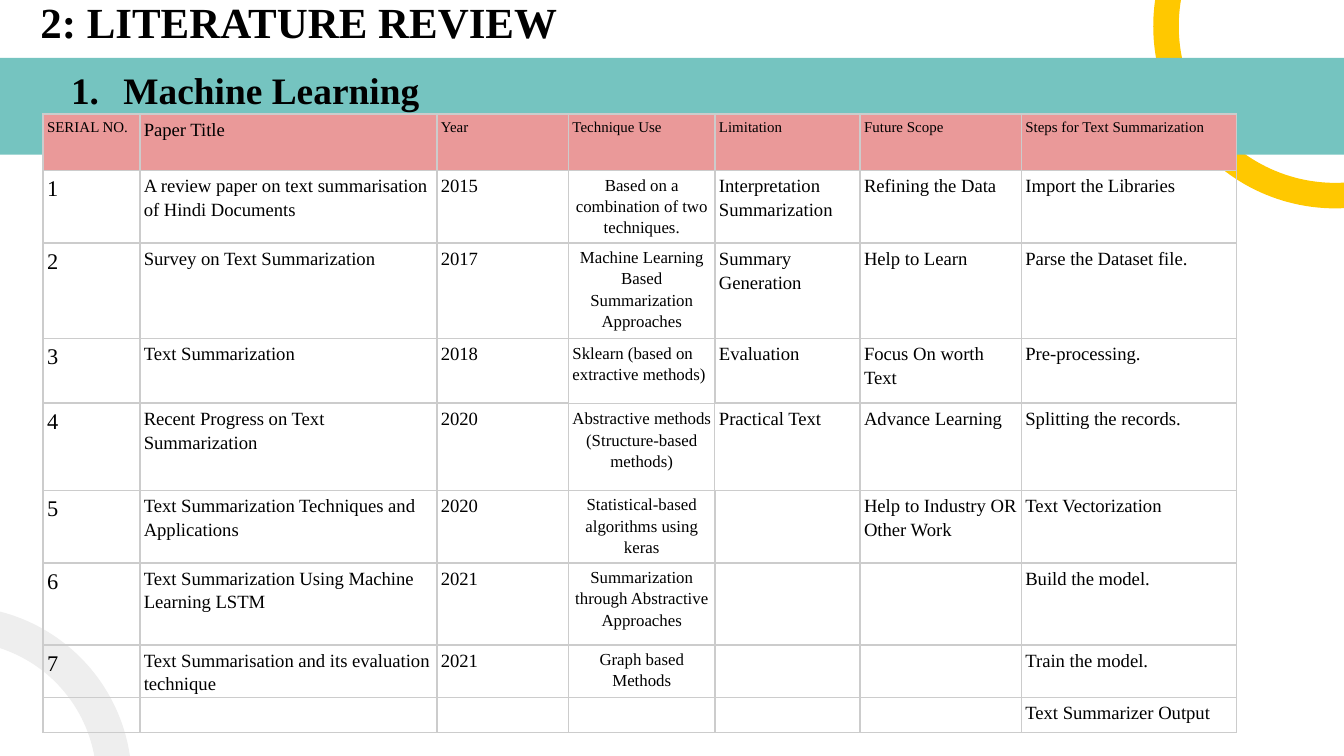
"""Build the literature review slide with its table of machine learning papers."""
import pptx
import pptx.dml.color
import pptx.enum.shapes
import pptx.enum.text
import pptx.oxml.ns
import pptx.util
from lxml import etree

Inches, Pt = pptx.util.Inches, pptx.util.Pt
RGBColor = pptx.dml.color.RGBColor
SHAPE = pptx.enum.shapes.MSO_SHAPE
ALIGN = pptx.enum.text.PP_ALIGN
qn = pptx.oxml.ns.qn

BLACK = RGBColor(0x00, 0x00, 0x00)
YELLOW = RGBColor(0xFF, 0xC8, 0x00)
TEAL = RGBColor(0x75, 0xC4, 0xC0)
GRAY = RGBColor(0xEE, 0xEE, 0xEE)
PINK = RGBColor(0xEA, 0x99, 0x99)
RULE = RGBColor(0xCC, 0xCC, 0xCC)
FONT = "Times New Roman"

TITLE = "2: LITERATURE REVIEW"
TOPIC = "Machine Learning"
DECOR = [
    (SHAPE.BLOCK_ARC, (8.58, -1.16, 2.71, 2.71), 180, (159.04, 7.23, 0.07), YELLOW),
    (SHAPE.RECTANGLE, (-0.17, 0.43, 10.34, 0.72), 0, (), TEAL),
    (SHAPE.BLOCK_ARC, (-1.63, 4.51, 2.61, 2.61), 74.3, (125.82, 166.85, 0.1), GRAY),
]
ROWS = [
    ("SERIAL NO.", "Paper Title", "Year", "Technique Use", "Limitation",
     "Future Scope", "Steps for Text Summarization"),
    ("1", "A review paper on text summarisation of Hindi Documents", "2015",
     "Based on a combination of two techniques.", "Interpretation\nSummarization",
     "Refining the Data", "Import the Libraries"),
    ("2", "Survey on Text Summarization", "2017",
     "Machine Learning Based Summarization Approaches", "Summary Generation",
     "Help to Learn", "Parse the Dataset file."),
    ("3", "Text Summarization", "2018", "Sklearn (based on extractive methods)",
     "Evaluation", "Focus On worth Text", "Pre-processing."),
    ("4", "Recent Progress on Text Summarization", "2020",
     "Abstractive methods (Structure-based methods)", "Practical Text",
     "Advance Learning", "Splitting the records."),
    ("5", "Text Summarization Techniques and Applications", "2020",
     "Statistical-based algorithms using keras", "",
     "Help to Industry OR Other Work", "Text Vectorization"),
    ("6", "Text Summarization Using Machine Learning LSTM", "2021",
     "Summarization through Abstractive Approaches", "", "", "Build the model."),
    ("7", "Text Summarisation and its evaluation technique", "2021",
     "Graph based Methods", "", "", "Train the model."),
    ("", "", "", "", "", "", "Text Summarizer Output"),
]
WIDTHS = [0.72, 2.21, 0.98, 1.09, 1.08, 1.2, 1.6]
HEIGHTS = [0.42, 0.54, 0.71, 0.48, 0.65, 0.54, 0.61, 0.39, 0.26]
HEAD_SIZES = [8, 10, 8, 8, 8, 8, 8]
BODY_SIZES = [12, 10, 10, 9, 10, 10, 10]
TECH = 3
LEFT_ROWS = (0, 3)
THIN = (4, TECH)
SIDES = {"a:lnL": (0, -1), "a:lnR": (0, 1), "a:lnT": (-1, 0), "a:lnB": (1, 0)}


def apply(item, style):
    for name, value in style.items():
        setattr(item, name, value)


def pad(item, across, down):
    apply(item, {"margin_left": Inches(across), "margin_right": Inches(across),
                 "margin_top": Inches(down), "margin_bottom": Inches(down)})


def place(shape, box):
    apply(shape, dict(zip(("left", "top", "width", "height"), map(Inches, box))))


def style_text(para, size, bold):
    apply(para.runs[0].font, {"name": FONT, "size": Pt(size), "bold": bold})
    para.runs[0].font.color.rgb = BLACK


def indent(para, left, first=0):
    props = para._p.get_or_add_pPr()
    props.set("marL", str(Inches(left)))
    props.set("indent", str(Inches(first)))
    return props


def add_edges(cell, row, col):
    props = cell._tc.get_or_add_tcPr()
    for tag, (down, right) in SIDES.items():
        thin = THIN in ((row, col), (row + down, col + right))
        line = etree.SubElement(props, qn(tag), w=str(Pt(0.6 if thin else 1)))
        fill = etree.SubElement(line, qn("a:solidFill"))
        etree.SubElement(fill, qn("a:srgbClr"), val=str(RULE))


def fill_cell(cell, text, row, col):
    pad(cell, *((0.02, 0.03) if (row, col) == THIN else (0.03, 0.02)))
    add_edges(cell, row, col)
    if row:
        cell.fill.background()
    else:
        cell.fill.solid()
        cell.fill.fore_color.rgb = PINK
    size = (BODY_SIZES if row else HEAD_SIZES)[col]
    cell.text_frame.text = text
    for para in cell.text_frame.paragraphs:
        para.line_spacing = 1.15
        if col == TECH and row not in LEFT_ROWS:
            para.alignment = ALIGN.CENTER
        if text:
            style_text(para, size, False)
        else:
            etree.SubElement(para._p, qn("a:endParaRPr"), sz=str(size * 100))


def add_decor(slide):
    for kind, box, turn, adjust, color in DECOR:
        shape = slide.shapes.add_shape(kind, *map(Inches, box))
        shape.rotation = turn
        for index, value in enumerate(adjust):
            shape.adjustments[index] = value
        shape.shadow.inherit = False
        shape.fill.solid()
        shape.fill.fore_color.rgb = color
        shape.line.fill.background()


def add_title(slide):
    title = slide.shapes.title
    slide.shapes._spTree.append(title._element)
    place(title, (0.17, -0.13, 8.46, 0.63))
    frame = title.text_frame
    frame.text = TITLE
    pad(frame, 0.1, 0.1)
    apply(frame, {"vertical_anchor": pptx.enum.text.MSO_ANCHOR.TOP,
                  "auto_size": pptx.enum.text.MSO_AUTO_SIZE.NONE})
    para = frame.paragraphs[0]
    apply(para, {"alignment": ALIGN.LEFT, "space_before": Pt(2.5)})
    indent(para, 0.03)
    style_text(para, 23, True)


def add_table(slide):
    box = (0.32, 0.85, sum(WIDTHS), sum(HEIGHTS))
    table = slide.shapes.add_table(len(ROWS), len(WIDTHS), *map(Inches, box)).table
    apply(table, {"first_row": False, "horz_banding": False})
    for column, width in zip(table.columns, WIDTHS):
        column.width = Inches(width)
    for row, (texts, height) in enumerate(zip(ROWS, HEIGHTS)):
        table.rows[row].height = Inches(height)
        for col, text in enumerate(texts):
            fill_cell(table.cell(row, col), text, row, col)


def add_topic(slide):
    frame = slide.shapes.add_textbox(*map(Inches, (0.32, 0.4, 3.28, 0.54))).text_frame
    pad(frame, 0.1, 0.1)
    apply(frame, {"text": TOPIC, "word_wrap": True})
    para = frame.paragraphs[0]
    props = indent(para, 0.5, -0.39)
    color = etree.SubElement(props, qn("a:buClr"))
    etree.SubElement(color, qn("a:srgbClr"), val=str(BLACK))
    etree.SubElement(props, qn("a:buFont"), typeface=FONT)
    etree.SubElement(props, qn("a:buAutoNum"), type="arabicPeriod")
    style_text(para, 20, True)


def main():
    deck = pptx.Presentation()
    apply(deck, {"slide_width": Inches(10), "slide_height": Inches(10 * 9 / 16)})
    slide = deck.slides.add_slide(deck.slide_layouts[5])
    add_decor(slide)
    add_title(slide)
    add_table(slide)
    add_topic(slide)
    deck.save("out.pptx")


if __name__ == "__main__":
    main()
